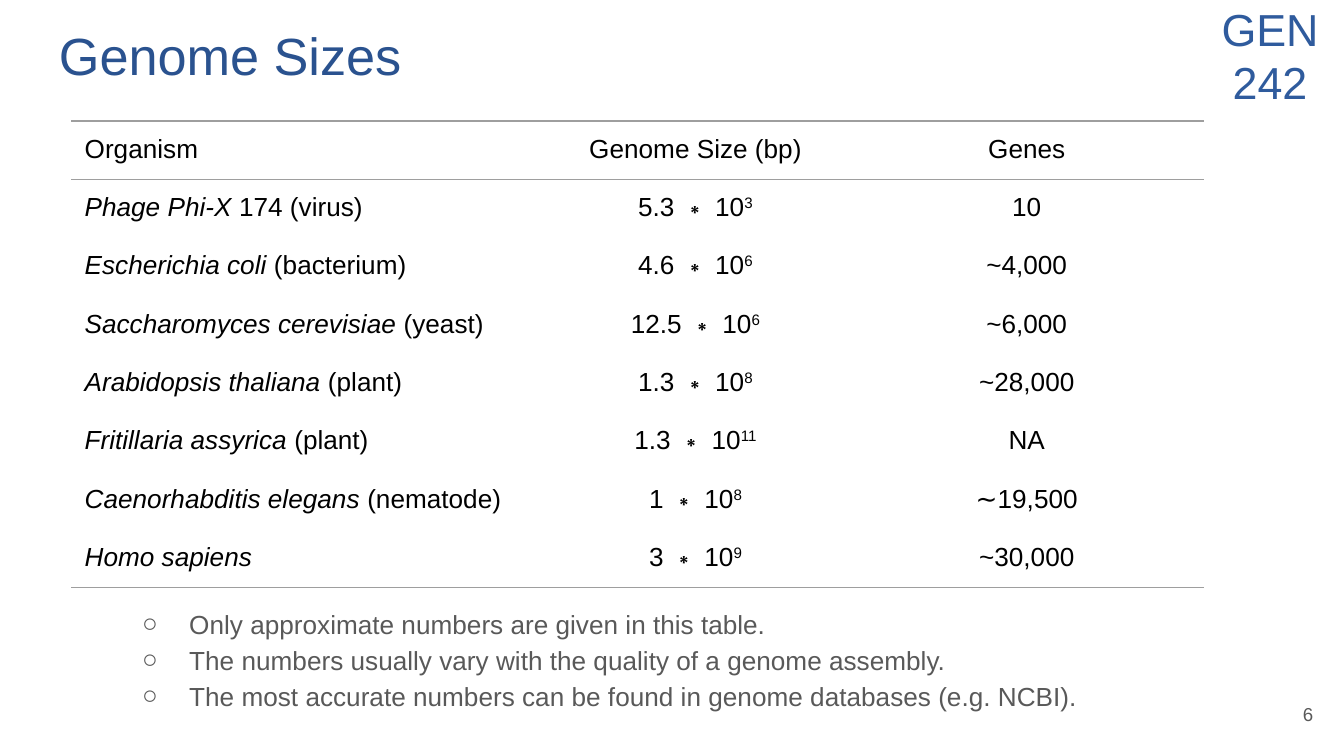
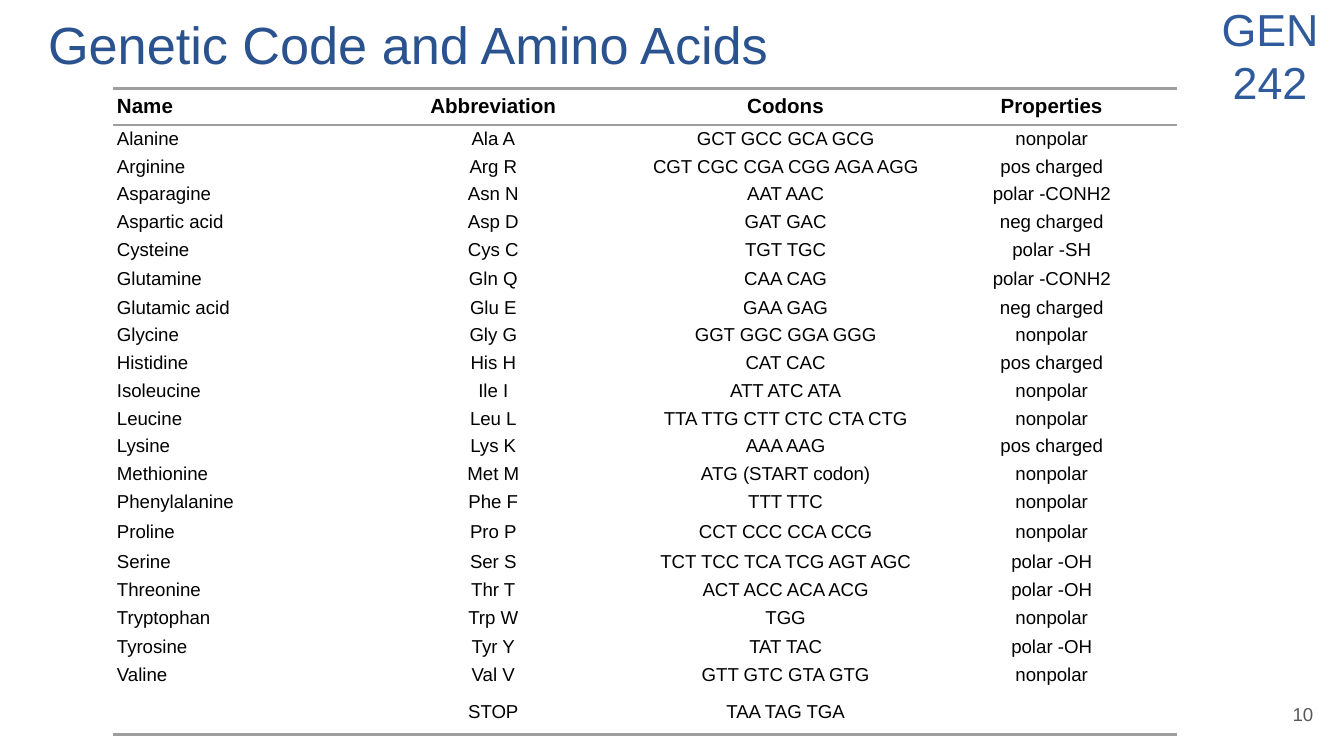
from dataclasses import dataclass
from typing import NamedTuple

from lxml import etree
from pptx import Presentation
from pptx import util as u
from pptx.dml.color import RGBColor
from pptx.enum import text as t
from pptx.oxml import ns


@dataclass(frozen=True)
class Theme:
    font: str = "Arial"
    title: str = "2A528F"
    badge: str = "2F5B9D"
    ink: str = "000000"
    gray: str = "595959"
    rule: str = "9E9E9E"
    title_size: float = 28
    badge_size: float = 24
    body_size: float = 14
    head_size: float = 11
    small_size: float = 10


THEME = Theme()
LEFT, MID, RIGHT = t.PP_ALIGN.LEFT, t.PP_ALIGN.CENTER, t.PP_ALIGN.RIGHT
TOP, CENTER = t.MSO_ANCHOR.TOP, t.MSO_ANCHOR.MIDDLE
PLAIN_STYLE = "{2D5ABB26-0587-4C30-8999-92F81FD0307C}"
FRAME = 3.28


class Run(NamedTuple):
    text: str
    slant: bool = False
    raised: bool = False


class Box(NamedTuple):
    left: float
    top: float
    width: float
    height: float


@dataclass(frozen=True)
class Grid:
    left: float
    top: float
    cols: tuple[float, ...]
    rows: tuple[float, ...]
    pad_x: float
    pad_y: float
    anchor: t.MSO_ANCHOR
    line: float
    head_size: float
    body_size: float
    head_bold: bool = False


GENOME_GRID = Grid(0.53, 0.9, (3.5, 2.29, 2.64), (0.42,) * 8, 0.1, 0.1, TOP, 0.75,
                   THEME.body_size, THEME.body_size)
AMINO_GRID = Grid(0.84, 0.66, (1.7, 2.26, 2.09, 1.87),
                  (0.27, 0.12, 0.13, 0.07, 0.2, 0.21, 0.22, 0.2, 0.18, 0.16, 0.15,
                   0.18, 0.17, 0.2, 0.18, 0.24, 0.17, 0.17, 0.22, 0.14, 0.2, 0.25),
                  0.03, 0.02, CENTER, 1.5, THEME.head_size, THEME.small_size, True)

GENOME_HEAD = ("Organism", "Genome Size (bp)", "Genes")
GENOMES = (
    ("Phage Phi-X", " 174 (virus)", "5.3", "3", "10"),
    ("Escherichia coli", " (bacterium)", "4.6", "6", "~4,000"),
    ("Saccharomyces cerevisiae", " (yeast)", "12.5", "6", "~6,000"),
    ("Arabidopsis thaliana", " (plant)", "1.3", "8", "~28,000"),
    ("Fritillaria assyrica", " (plant)", "1.3", "11", "NA"),
    ("Caenorhabditis elegans", " (nematode)", "1", "8", "∼19,500"),
    ("Homo sapiens", "", "3", "9", "~30,000"),
)
NOTES = (
    "Only approximate numbers are given in this table.",
    "The numbers usually vary with the quality of a genome assembly.",
    "The most accurate numbers can be found in genome databases (e.g. NCBI).",
)

AMINO_HEAD = ("Name", "Abbreviation", "Codons", "Properties")
AMINOS = (
    ("Alanine", "Ala A", "GCT GCC GCA GCG", "nonpolar"),
    ("Arginine", "Arg R", "CGT CGC CGA CGG AGA AGG", "pos charged"),
    ("Asparagine", "Asn N", "AAT AAC", "polar -CONH2"),
    ("Aspartic acid", "Asp D", "GAT GAC", "neg charged"),
    ("Cysteine", "Cys C", "TGT TGC", "polar -SH"),
    ("Glutamine", "Gln Q", "CAA CAG", "polar -CONH2"),
    ("Glutamic acid", "Glu E", "GAA GAG", "neg charged"),
    ("Glycine", "Gly G", "GGT GGC GGA GGG", "nonpolar"),
    ("Histidine", "His H", "CAT CAC", "pos charged"),
    ("Isoleucine", "Ile I", "ATT ATC ATA", "nonpolar"),
    ("Leucine", "Leu L", "TTA TTG CTT CTC CTA CTG", "nonpolar"),
    ("Lysine", "Lys K", "AAA AAG", "pos charged"),
    ("Methionine", "Met M", "ATG (START codon)", "nonpolar"),
    ("Phenylalanine", "Phe F", "TTT TTC", "nonpolar"),
    ("Proline", "Pro P", "CCT CCC CCA CCG", "nonpolar"),
    ("Serine", "Ser S", "TCT TCC TCA TCG AGT AGC", "polar -OH"),
    ("Threonine", "Thr T", "ACT ACC ACA ACG", "polar -OH"),
    ("Tryptophan", "Trp W", "TGG", "nonpolar"),
    ("Tyrosine", "Tyr Y", "TAT TAC", "polar -OH"),
    ("Valine", "Val V", "GTT GTC GTA GTG", "nonpolar"),
    ("", "STOP", "TAA TAG TGA", ""),
)


def add_node(parent, tag: str, **attrs: str):
    return etree.SubElement(parent, ns.qn(tag), attrs)


def write(frame, lines, *, size: float, color: str = THEME.ink, bold: bool = False,
          align=LEFT, spacing: float = 1.0, bullet: str = "") -> None:
    for i, line in enumerate(lines):
        para = frame.paragraphs[0] if i == 0 else frame.add_paragraph()
        para.alignment = align
        para.line_spacing = spacing
        para.space_before = para.space_after = u.Pt(0)
        if bullet:
            props = para._p.get_or_add_pPr()
            props.set("marL", str(u.Inches(0.5)))
            props.set("indent", str(u.Inches(-0.35)))
            add_node(add_node(props, "a:buClr"), "a:srgbClr", val=color)
            add_node(props, "a:buFont", typeface=THEME.font)
            add_node(props, "a:buChar", char=bullet)
        for part in [Run(line)] if isinstance(line, str) else line:
            if not part.text:
                continue
            run = para.add_run()
            run.text = part.text
            font = run.font
            font.name, font.size = THEME.font, u.Pt(size)
            font.bold, font.italic = bold, part.slant
            font.color.rgb = RGBColor.from_string(color)
            props = run._r.get_or_add_rPr()
            for tag in ("a:ea", "a:cs", "a:sym"):
                add_node(props, tag, typeface=THEME.font)
            if part.raised:
                props.set("baseline", "30000")


def add_text(slide, box: Box, lines, anchor=TOP, **style) -> None:
    frame = slide.shapes.add_textbox(*map(u.Inches, box)).text_frame
    frame.word_wrap = True
    frame.vertical_anchor = anchor
    frame.margin_left = frame.margin_right = u.Inches(0.1)
    frame.margin_top = frame.margin_bottom = u.Inches(0.1)
    write(frame, lines, **style)


def set_rules(cell, sides: str, width: float) -> None:
    props = cell._tc.get_or_add_tcPr()
    for i, side in enumerate("LRTB"):
        line = etree.Element(ns.qn(f"a:ln{side}"), w=str(u.Pt(width)))
        if side in sides:
            add_node(add_node(line, "a:solidFill"), "a:srgbClr", val=THEME.rule)
        else:
            add_node(line, "a:noFill")
        props.insert(i, line)


def add_grid(slide, grid: Grid, data) -> None:
    box = Box(grid.left, grid.top, FRAME, FRAME)
    shape = slide.shapes.add_table(len(grid.rows), len(grid.cols), *map(u.Inches, box))
    table = shape.table
    table.horz_banding = table.first_row = False
    table._tbl.tblPr.find(ns.qn("a:tableStyleId")).text = PLAIN_STYLE
    for col, width in zip(table.columns, grid.cols):
        col.width = u.Inches(width)
    for row, height in zip(table.rows, grid.rows):
        row.height = u.Inches(height)
    shape.width = shape.height = u.Inches(FRAME)
    edges = {0: "TB", 1: "T", len(data) - 1: "B"}
    for y, row in enumerate(data):
        head = y == 0
        for x, value in enumerate(row):
            cell = table.cell(y, x)
            cell.fill.background()
            cell.margin_left = cell.margin_right = u.Inches(grid.pad_x)
            cell.margin_top = cell.margin_bottom = u.Inches(grid.pad_y)
            cell.vertical_anchor = grid.anchor
            set_rules(cell, edges.get(y, ""), grid.line)
            write(cell.text_frame, [value], bold=head and grid.head_bold,
                  size=grid.head_size if head else grid.body_size,
                  align=MID if x else LEFT)


def add_page(deck, title: str, left: float, top: float, number: int):
    slide = deck.slides.add_slide(deck.slide_layouts[6])
    add_text(slide, Box(8.82, -0.09, 1.26, 0.98), ["GEN", "242"],
             size=THEME.badge_size, color=THEME.badge, align=MID)
    add_text(slide, Box(left, top, 9.32, 0.63), [title],
             size=THEME.title_size, color=THEME.title)
    add_text(slide, Box(9.27, 5.1, 0.6, 0.43), [str(number)], anchor=CENTER,
             size=THEME.small_size, color=THEME.gray, align=RIGHT)
    return slide


def add_genomes(deck) -> None:
    slide = add_page(deck, "Genome Sizes", 0.34, 0.07, 6)
    rows = [([Run(name, slant=True), Run(kind)],
             [Run(f"{base} ∗ 10"), Run(power, raised=True)], genes)
            for name, kind, base, power, genes in GENOMES]
    add_grid(slide, GENOME_GRID, [GENOME_HEAD, *rows])
    add_text(slide, Box(0.81, 4.39, 8.04, 1.17), NOTES, size=THEME.body_size,
             color=THEME.gray, spacing=1.15, bullet="○")


def add_aminos(deck) -> None:
    slide = add_page(deck, "Genetic Code and Amino Acids", 0.26, -0.01, 10)
    add_grid(slide, AMINO_GRID, [AMINO_HEAD, *AMINOS])


def main() -> None:
    deck = Presentation()
    deck.slide_width = u.Inches(10)
    deck.slide_height = deck.slide_width * 9 // 16
    add_genomes(deck)
    add_aminos(deck)
    deck.save("out.pptx")


if __name__ == "__main__":
    main()
